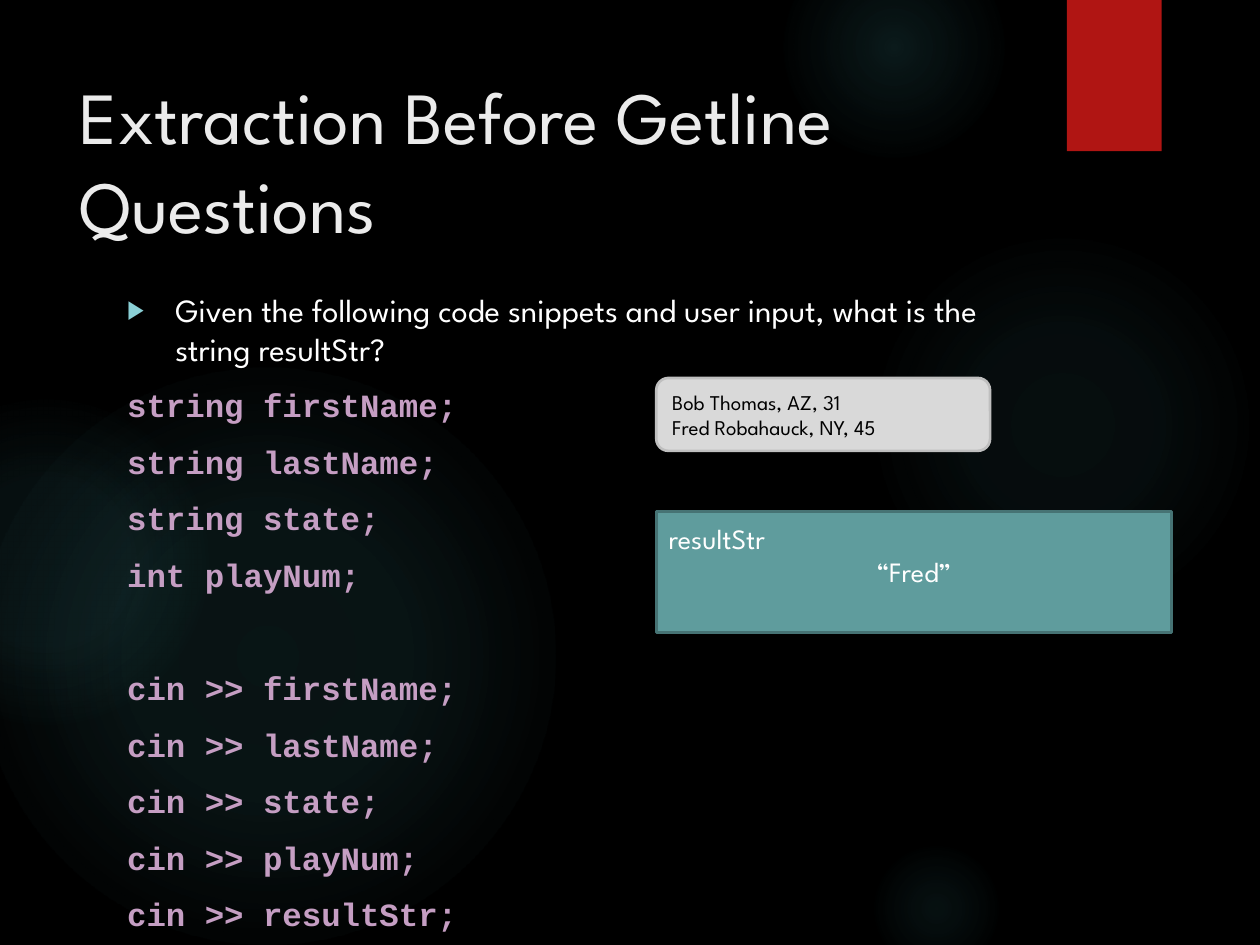
from lxml import etree
from pptx import Presentation
from pptx import util as u
from pptx.dml import color
from pptx.enum import shapes, text
from pptx.oxml import ns, parse_xml

SANS, MONO = "League Spartan", "Courier New"
GLOW = "50B9C1"
DECLARATIONS = ["string firstName;", "string lastName;", "string state;", "int playNum;"]
INPUTS = ["cin >> firstName;", "cin >> lastName;", "cin >> state;",
          "cin >> playNum;", "cin >> resultStr;"]


def rgb(value):
    return color.RGBColor.from_string(value)


def add_run(paragraph, words, size, hue, font=SANS, bold=False):
    run = paragraph.add_run()
    run.text = words
    run.font.name, run.font.size, run.font.bold = font, u.Pt(size), bold
    run.font.color.rgb = rgb(hue)


def add_block(slide, kind, box, fill=None, line=None):
    block = slide.shapes.add_shape(kind, *map(u.Cm, box))
    block.shadow.inherit = False
    if fill:
        block.fill.solid()
        block.fill.fore_color.rgb = rgb(fill)
    if line:
        block.line.color.rgb = rgb(line)
        block.line.width = u.Pt(1.5)
    else:
        block.line.fill.background()
    return block


def add_glow(slide, left, top, size, stops):
    """Round radial glow; stops are (position, opacity) in percent."""
    glow = add_block(slide, shapes.MSO_SHAPE.OVAL, (left, top, size, size))
    stop_xml = "".join(
        f'<a:gs pos="{position * 1000}"><a:srgbClr val="{GLOW}">'
        f'<a:alpha val="{opacity * 1000}"/></a:srgbClr></a:gs>'
        for position, opacity in stops)
    gradient = parse_xml(
        f'<a:gradFill {ns.nsdecls("a")}><a:gsLst>{stop_xml}</a:gsLst><a:path path="circle">'
        '<a:fillToRect l="50000" t="50000" r="50000" b="50000"/></a:path></a:gradFill>')
    glow.element.spPr.find(ns.qn("a:prstGeom")).addnext(gradient)


def add_backdrop(slide):
    slide.background.fill.solid()
    slide.background.fill.fore_color.rgb = rgb("000000")
    for left, top, size, inner, middle, edge in [
            (17.5, 4.65, 7.82, 7, 6, 69), (15.8, -1.27, 4.45, 14, 7, 73),
            (17.5, 16.94, 2.74, 9, 5, 66), (-0.43, 7.42, 11.63, 11, 10, 75),
            (-2.34, 8.05, 6.55, 8, 8, 72)]:
        add_glow(slide, left, top, size, [(0, inner), (36, middle), (edge, 0)])
    add_block(slide, shapes.MSO_SHAPE.RECTANGLE, (21.51, 0, 1.91, 3.05), "B01513")


def place(slide, holder, box, anchor):
    """Moves a placeholder to its box, in front of the backdrop."""
    holder.left, holder.top, holder.width, holder.height = map(u.Cm, box)
    slide.shapes.element.append(holder.element)
    frame = holder.text_frame
    frame.auto_size, frame.word_wrap = text.MSO_AUTO_SIZE.NONE, True
    frame.vertical_anchor = anchor
    return frame


def fill_title(slide, box):
    frame = place(slide, slide.shapes.title, box, text.MSO_ANCHOR.MIDDLE)
    heading = frame.paragraphs[0]
    heading.alignment = text.PP_ALIGN.LEFT
    add_run(heading, "Extraction Before Getline", 42, "EBEBEB")
    heading.add_line_break()
    add_run(heading, "Questions", 42, "EBEBEB")


def set_bullet(paragraph, char=None):
    props = paragraph._p.get_or_add_pPr()
    indent = u.Cm(0.97) if char else 0
    props.set("marL", str(indent))
    props.set("indent", str(-indent))
    if not char:
        etree.SubElement(props, ns.qn("a:buNone"))
        return
    tint = etree.SubElement(props, ns.qn("a:buClr"))
    etree.SubElement(tint, ns.qn("a:srgbClr"), val="8AD0D6")
    etree.SubElement(props, ns.qn("a:buSzPct"), val="80000")
    etree.SubElement(props, ns.qn("a:buFont"), typeface="Arial")
    etree.SubElement(props, ns.qn("a:buChar"), char=char)


def fill_body(slide, box):
    frame = place(slide, slide.placeholders[1], box, text.MSO_ANCHOR.TOP)
    question = frame.paragraphs[0]
    question.space_before = u.Pt(10)
    set_bullet(question, "▶")
    add_run(question, "Given the following code snippets and user input, "
            "what is the string resultStr?", 18.5, "FFFFFF")
    for code in DECLARATIONS + INPUTS:
        statement = frame.add_paragraph()
        statement.line_spacing = u.Pt(22.3)
        statement.space_before = u.Pt(42.3 if code == INPUTS[0] else 10)
        set_bullet(statement)
        add_run(statement, code, 18.5, "C59EC3", MONO, True)


def add_card(slide, kind, box, fill, line, lines, size, hue):
    """Panel of text lines, each a (words, alignment) pair."""
    card = add_block(slide, kind, box, fill, line)
    frame = card.text_frame
    frame.word_wrap = True
    for number, (words, alignment) in enumerate(lines):
        paragraph = frame.add_paragraph() if number else frame.paragraphs[0]
        paragraph.alignment = alignment
        add_run(paragraph, words, size, hue)
    return frame


def add_cards(slide, left):
    start, center = text.PP_ALIGN.LEFT, text.PP_ALIGN.CENTER
    user_input = add_card(
        slide, shapes.MSO_SHAPE.ROUNDED_RECTANGLE, (left, 7.62, 6.73, 1.47), "D9D9D9", "BFBFBF",
        [("Bob Thomas, AZ, 31", start), ("Fred Robahauck, NY, 45", start)], 12, "000000")
    user_input.vertical_anchor = text.MSO_ANCHOR.MIDDLE
    answer = add_card(
        slide, shapes.MSO_SHAPE.RECTANGLE, (left, 10.31, 10.39, 2.44), "5F9C9D", "467374",
        [("resultStr", start), ("“Fred”", center)], 16, "FFFFFF")
    answer.vertical_anchor = text.MSO_ANCHOR.TOP
    answer.margin_top = u.Cm(0.2)


def main():
    deck = Presentation()
    deck.slide_width, deck.slide_height = u.Cm(25.4), u.Cm(19.05)
    slide = deck.slides.add_slide(deck.slide_layouts[1])
    add_backdrop(slide)
    fill_title(slide, (1.35, 1.27, 19.61, 3.89))
    fill_body(slide, (2.31, 5.72, 18.64, 11.66))
    add_cards(slide, 13.23)
    deck.save("out.pptx")


if __name__ == "__main__":
    main()
